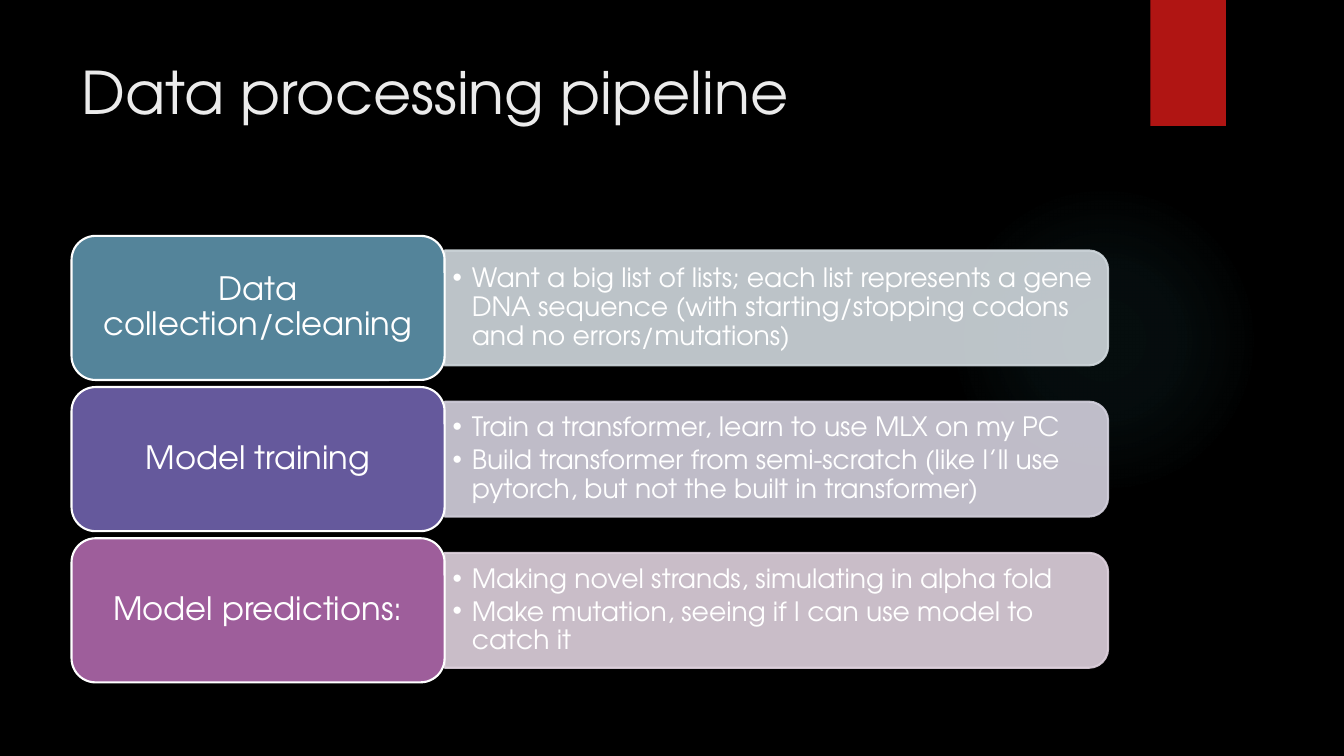
from lxml import etree
from pptx import Presentation
from pptx.dml.color import RGBColor
from pptx.enum import shapes, text
from pptx.oxml import ns, parse_xml
from pptx.util import Inches, Pt

FONT = "TeX Gyre Adventor"
BLACK = RGBColor(0x00, 0x00, 0x00)
WHITE = RGBColor(0xFF, 0xFF, 0xFF)
TITLE_GREY = RGBColor(0xEB, 0xEB, 0xEB)
RIBBON_RED = RGBColor(0xB0, 0x15, 0x13)
GLOW_TEAL = RGBColor(0x50, 0xB9, 0xC1)
TEAL, PALE_TEAL = RGBColor(0x54, 0x84, 0x9A), RGBColor(0xD1, 0xD9, 0xDE)
VIOLET, PALE_VIOLET = RGBColor(0x65, 0x59, 0x9C), RGBColor(0xD4, 0xD1, 0xDE)
PURPLE, PALE_PURPLE = RGBColor(0x9E, 0x5E, 0x9B), RGBColor(0xDF, 0xD2, 0xDE)

# Stage layout, in inches
LEFT, TOP, PITCH = 0.71, 2.34, 1.5
LABEL_WIDTH, LABEL_HEIGHT = 3.7, 1.43
BAR_LENGTH, BAR_HEIGHT = 6.58, 1.14
LIST_WIDTH, LIST_HEIGHT = 6.53, 1.03

STAGES = [
    ("Data collection/cleaning", TEAL, PALE_TEAL,
     ["Want a big list of lists; each list represents a gene DNA sequence "
      "(with starting/stopping codons and no errors/mutations)"]),
    ("Model training", VIOLET, PALE_VIOLET,
     ["Train a transformer, learn to use MLX on my PC",
      "Build transformer from semi-scratch (like I’ll use pytorch, "
      "but not the built in transformer)"]),
    ("Model predictions:", PURPLE, PALE_PURPLE,
     ["Making novel strands, simulating in alpha fold",
      "Make mutation, seeing if I can use model to catch it"]),
]


def set_all(target, values):
    for name, value in values.items():
        setattr(target, name, value)


def place(shape, left, top, width, height):
    set_all(shape, {"left": Inches(left), "top": Inches(top),
                    "width": Inches(width), "height": Inches(height)})


def format_frame(frame, anchor, side, edge):
    set_all(frame, {"word_wrap": True, "auto_size": text.MSO_AUTO_SIZE.NONE,
                    "vertical_anchor": anchor,
                    "margin_left": Inches(side), "margin_right": Inches(side),
                    "margin_top": Inches(edge), "margin_bottom": Inches(edge)})


def write(paragraph, words, size, color, align, spacing=1.0, after=0):
    set_all(paragraph, {"alignment": align, "line_spacing": spacing,
                        "space_before": Pt(0), "space_after": Pt(after)})
    run = paragraph.add_run()
    run.text = words
    set_all(run.font, {"name": FONT, "size": Pt(size), "bold": False})
    run.font.color.rgb = color


def add_block(slide, kind, box, fill, line=None):
    shape = slide.shapes.add_shape(kind, *map(Inches, box))
    shape.shadow.inherit = False
    shape.fill.solid()
    shape.fill.fore_color.rgb = fill
    if line is None:
        shape.line.fill.background()
    else:
        shape.line.color.rgb = line
        shape.line.width = Pt(1.5)
    return shape


def add_glow(slide):
    glow = add_block(slide, shapes.MSO_SHAPE.OVAL, (9.41, 1.83, 3.08, 3.08), GLOW_TEAL)
    stops = "".join(
        f'<a:gs pos="{position * 1000}"><a:srgbClr val="{GLOW_TEAL}">'
        f'<a:alpha val="{alpha * 1000}"/></a:srgbClr></a:gs>'
        for position, alpha in ((0, 7), (36, 6), (69, 0), (100, 0)))
    gradient = parse_xml(
        f'<a:gradFill {ns.nsdecls("a")}><a:gsLst>{stops}</a:gsLst><a:path path="circle">'
        '<a:fillToRect l="50000" t="50000" r="50000" b="50000"/></a:path></a:gradFill>')
    properties = glow._element.spPr
    properties.replace(properties.find(ns.qn("a:solidFill")), gradient)


def add_ribbon(slide):
    ribbon = add_block(slide, shapes.MSO_SHAPE.RECTANGLE, (11.41, 0, 0.75, 1.25), RIBBON_RED)
    effects = ribbon._element.spPr.find(ns.qn("a:effectLst"))
    effects.append(parse_xml(
        f'<a:outerShdw {ns.nsdecls("a")} blurRad="{Pt(3)}" dist="{Pt(2)}" dir="5400000">'
        f'<a:srgbClr val="{BLACK}"><a:alpha val="45000"/></a:srgbClr></a:outerShdw>'))


def add_bar(slide, middle, color):
    # A tall shape turned a quarter, so its rounded corners face right
    center = LEFT + LABEL_WIDTH + BAR_LENGTH / 2
    box = (center - BAR_HEIGHT / 2, middle - BAR_LENGTH / 2, BAR_HEIGHT, BAR_LENGTH)
    bar = add_block(slide, shapes.MSO_SHAPE.ROUND_2_SAME_RECTANGLE, box, color, color)
    bar.rotation = 90
    for tint in bar._element.spPr.iter(ns.qn("a:srgbClr")):
        etree.SubElement(tint, ns.qn("a:alpha"), val="90000")


def fill_list(slide, body, middle, items):
    place(body, LEFT + LABEL_WIDTH, middle - LIST_HEIGHT / 2, LIST_WIDTH, LIST_HEIGHT)
    slide.shapes._spTree.append(body._element)  # bring in front of the bar
    frame = body.text_frame
    format_frame(frame, text.MSO_ANCHOR.MIDDLE, 0.08, 0.04)
    for index, item in enumerate(items):
        paragraph = frame.add_paragraph() if index else frame.paragraphs[0]
        paragraph.level = 1
        properties = paragraph._p.get_or_add_pPr()
        properties.set("marL", str(Inches(0.19)))
        properties.set("indent", str(-Inches(0.19)))
        etree.SubElement(properties, ns.qn("a:buChar"), char="•")
        write(paragraph, item, 19, WHITE, text.PP_ALIGN.LEFT, 0.9, 3)


def add_label(slide, top, words, color):
    label = add_block(slide, shapes.MSO_SHAPE.ROUNDED_RECTANGLE,
                      (LEFT, top, LABEL_WIDTH, LABEL_HEIGHT), color, WHITE)
    format_frame(label.text_frame, text.MSO_ANCHOR.MIDDLE, 0.1, 0.05)
    write(label.text_frame.paragraphs[0], words, 23, WHITE, text.PP_ALIGN.CENTER, 0.9)


def main():
    presentation = Presentation()
    set_all(presentation, {"slide_width": Inches(13.33), "slide_height": Inches(7.5)})
    # The comparison layout offers a title and several bodies
    slide = presentation.slides.add_slide(presentation.slide_layouts[4])
    slide.background.fill.solid()
    slide.background.fill.fore_color.rgb = BLACK
    title, *bodies = slide.placeholders

    # Backdrop
    add_glow(slide)
    add_ribbon(slide)

    # Title
    place(title, LEFT, 0.5, 10.29, 1.53)
    format_frame(title.text_frame, text.MSO_ANCHOR.TOP, 0.1, 0.05)
    write(title.text_frame.paragraphs[0], "Data processing pipeline", 42,
          TITLE_GREY, text.PP_ALIGN.LEFT)

    # Pipeline stages
    for row, (name, color, pale, items) in enumerate(STAGES):
        top = TOP + row * PITCH
        middle = top + LABEL_HEIGHT / 2
        add_bar(slide, middle, pale)
        fill_list(slide, bodies[row], middle, items)
        add_label(slide, top, name, color)

    # Unused body
    for body in bodies[len(STAGES):]:
        body._element.getparent().remove(body._element)

    presentation.save("out.pptx")


if __name__ == "__main__":
    main()
